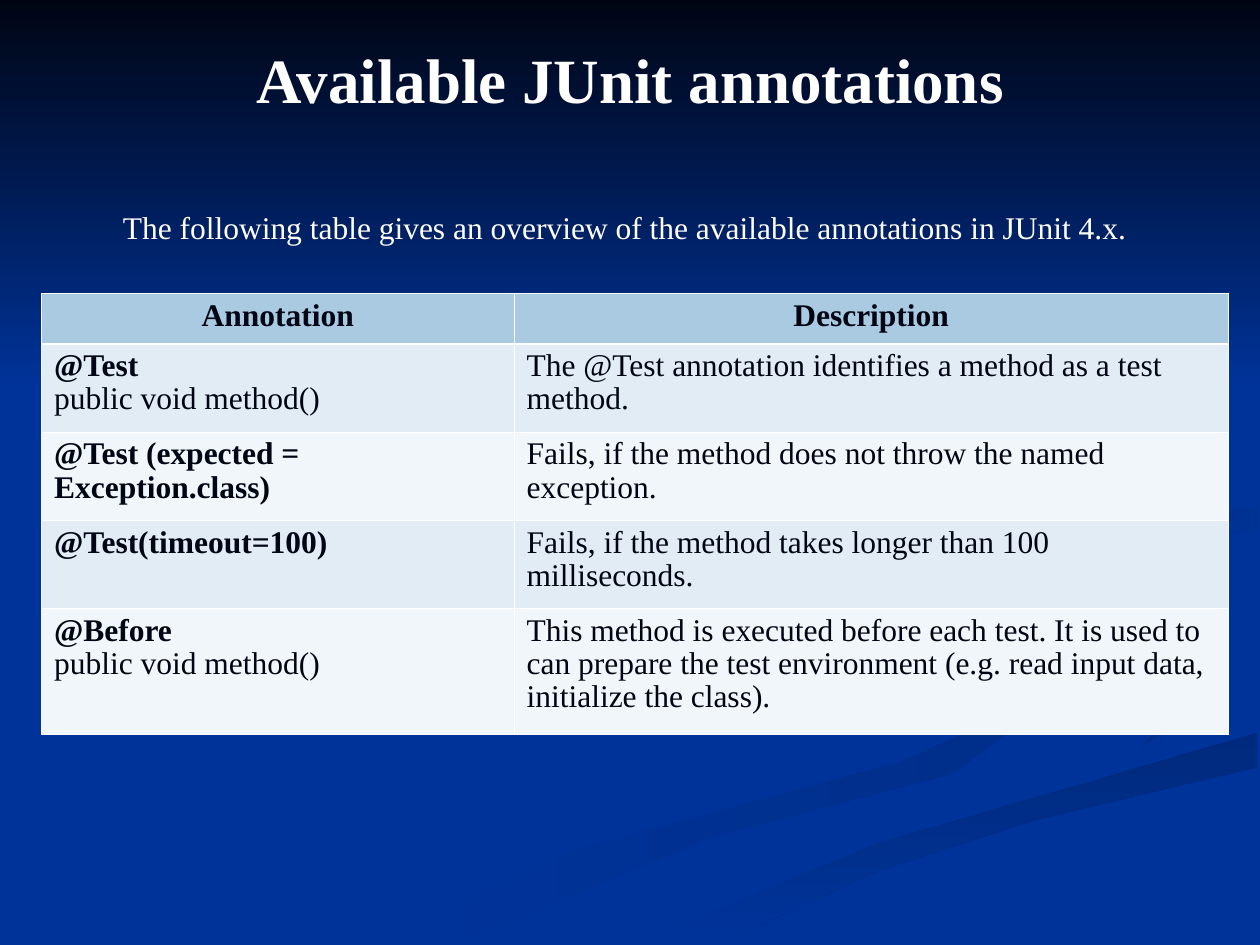
from dataclasses import dataclass

from lxml.etree import SubElement
from pptx import Presentation
from pptx.dml.color import RGBColor as RGB
from pptx.enum.shapes import MSO_SHAPE as Shape
from pptx.enum.text import MSO_ANCHOR as Anchor, MSO_AUTO_SIZE as AutoSize, PP_ALIGN as Align
from pptx.oxml.ns import qn
from pptx.util import Pt

PX = 9144


@dataclass(frozen=True)
class Theme:
    font: str = "Times New Roman"
    title_size: int = 36
    body_size: int = 18
    blue: str = "003399"
    ink: str = "000514"
    white: str = "FFFFFF"
    header: str = "AACAE2"
    bands: tuple = ("E2ECF4", "F1F6FA")
    thin: float = 0.45
    thick: float = 1.47


T = Theme()

SWOOSHES = [
    ((300, 459), (T.blue, "002E8B"), 0, [
        (481, 94), (342, 48), (275, 0), (286, 28), (476, 94), (483, 115),
        (414, 146), (158, 215), (0, 290), (61, 290), (264, 206), (456, 155), (500, 122)]),
    ((724, 464), (T.blue, "002E8B"), 45, [
        (219, 106), (181, 76), (34, 34), (0, 0), (31, 41), (156, 85), (193, 117),
        (170, 141), (217, 117)]),
    ((503, 581), ("002A7D", T.blue), 90, [
        (0, 168), (68, 168), (192, 111), (318, 70), (495, 28), (495, 0),
        (364, 39), (193, 88), (66, 138)]),
    ((477, 387), (T.blue,), 0, [
        (248, 77), (282, 111), (428, 153), (466, 183), (404, 221), (227, 268),
        (0, 362), (26, 362), (219, 282), (522, 194), (522, 151), (327, 98),
        (309, 66), (522, 15), (522, 0), (278, 45)]),
    ((781, 402), ("002D86", T.blue), 45, [
        (0, 58), (45, 94), (24, 74), (62, 46), (217, 18), (217, 0), (29, 35)]),
    ((577, 233), ("002B82", T.blue), 45, [
        (106, 197), (278, 158), (317, 111), (266, 42), (185, 0), (278, 52), (311, 108),
        (241, 153), (38, 196), (1, 223), (45, 267), (24, 223)]),
]

HEADER = ("Annotation", "Description")
ROWS = [
    ([("@Test", True), ("public void method()", False)],
     [("The @Test annotation identifies a method as a test method.", False)]),
    ([("@Test (expected = Exception.class)", True)],
     [("Fails, if the method does not throw the named exception.", False)]),
    ([("@Test(timeout=100)", True)],
     [("Fails, if the method takes longer than 100 milliseconds.", False)]),
    ([("@Before", True), ("public void method()", False)],
     [("This method is executed before each test. It is used to can prepare the test "
       "environment (e.g. read input data, initialize the class).", False)]),
]


def emu(*lengths):
    return [n * PX for n in lengths]


def paint(sp, colors, angle):
    sp.shadow.inherit = False
    sp.line.fill.background()
    if len(colors) == 1:
        sp.fill.solid()
        sp.fill.fore_color.rgb = RGB.from_string(colors[0])
        return
    sp.fill.gradient()
    sp.fill.gradient_angle = (360 - angle) % 360
    for stop, color in zip(sp.fill.gradient_stops, colors):
        stop.color.rgb = RGB.from_string(color)


def write(p, text, size, color, bold=False, align=Align.CENTER):
    p.alignment = align
    r = p.add_run()
    r.text = text
    r.font.name = T.font
    r.font.size = Pt(size)
    r.font.bold = bold
    r.font.color.rgb = RGB.from_string(color)


def add_backdrop(s, x, y, w, h):
    s.background.fill.solid()
    s.background.fill.fore_color.rgb = RGB.from_string(T.blue)
    shapes = s.shapes.add_group_shape().shapes
    for (left, top), colors, angle, points in SWOOSHES:
        outline = [(x + left + dx, y + top + dy) for dx, dy in points]
        fb = shapes.build_freeform(*outline[0], scale=PX)
        fb.add_line_segments(outline[1:], close=True)
        paint(fb.convert_to_shape(), colors, angle)
    sky = shapes.add_shape(Shape.RECTANGLE, *emu(x, y, w, h))
    paint(sky, (T.ink, T.blue), 90)


def add_title(s, x, y, w, h):
    sp = s.shapes.title
    sp.left, sp.top, sp.width, sp.height = emu(x, y, w, h)
    tf = sp.text_frame
    tf.auto_size = AutoSize.NONE
    tf.vertical_anchor = Anchor.MIDDLE
    write(tf.paragraphs[0], "Available JUnit annotations", T.title_size, T.white, True)
    s.shapes._spTree.append(sp._element)


def add_intro(s, x, y, w, h):
    tf = s.shapes.add_textbox(*emu(x, y, w, h)).text_frame
    tf.word_wrap = True
    write(tf.paragraphs[0],
          "The following table gives an overview of the available annotations in JUnit 4.x.",
          T.body_size, T.white)


def set_borders(cell, top, bottom):
    tcPr = cell._tc.get_or_add_tcPr()
    for side, width in zip("LRTB", (T.thin, T.thin, top, bottom)):
        ln = SubElement(tcPr, qn(f"a:ln{side}"), w=str(Pt(width)))
        fill = SubElement(ln, qn("a:solidFill"))
        SubElement(fill, qn("a:srgbClr"), val=T.white)


def fill_cell(cell, lines, align, color, top=T.thin, bottom=T.thin):
    set_borders(cell, top, bottom)
    cell.fill.solid()
    cell.fill.fore_color.rgb = RGB.from_string(color)
    tf = cell.text_frame
    for i, (text, bold) in enumerate(lines):
        p = tf.add_paragraph() if i else tf.paragraphs[0]
        p.line_spacing = 0.95
        write(p, text, T.body_size, T.ink, bold, align)


def add_annotations(s, x, y, w, h):
    tbl = s.shapes.add_table(len(ROWS) + 1, len(HEADER), *emu(x, y, w, h)).table
    tbl.horz_banding = False
    for col, width in zip(tbl.columns, emu(375, w - 375)):
        col.width = width
    for row, height in zip(tbl.rows, emu(40, 70, 70, 70, h - 250)):
        row.height = height
    for c, text in enumerate(HEADER):
        fill_cell(tbl.cell(0, c), [(text, True)], Align.CENTER, T.header, bottom=T.thick)
    for i, row in enumerate(ROWS):
        for c, lines in enumerate(row):
            fill_cell(tbl.cell(i + 1, c), lines, Align.LEFT, T.bands[i % 2],
                      top=T.thin if i else T.thick)


def main():
    prs = Presentation()
    prs.slide_width, prs.slide_height = emu(1000, 750)
    s = prs.slides.add_slide(prs.slide_layouts[5])
    add_backdrop(s, 0, 0, 1000, 308)
    add_title(s, 0, 0, 1000, 125)
    add_intro(s, 17, 160, 958, 40)
    add_annotations(s, 33, 233, 942, 350)
    prs.save("out.pptx")


if __name__ == "__main__":
    main()
